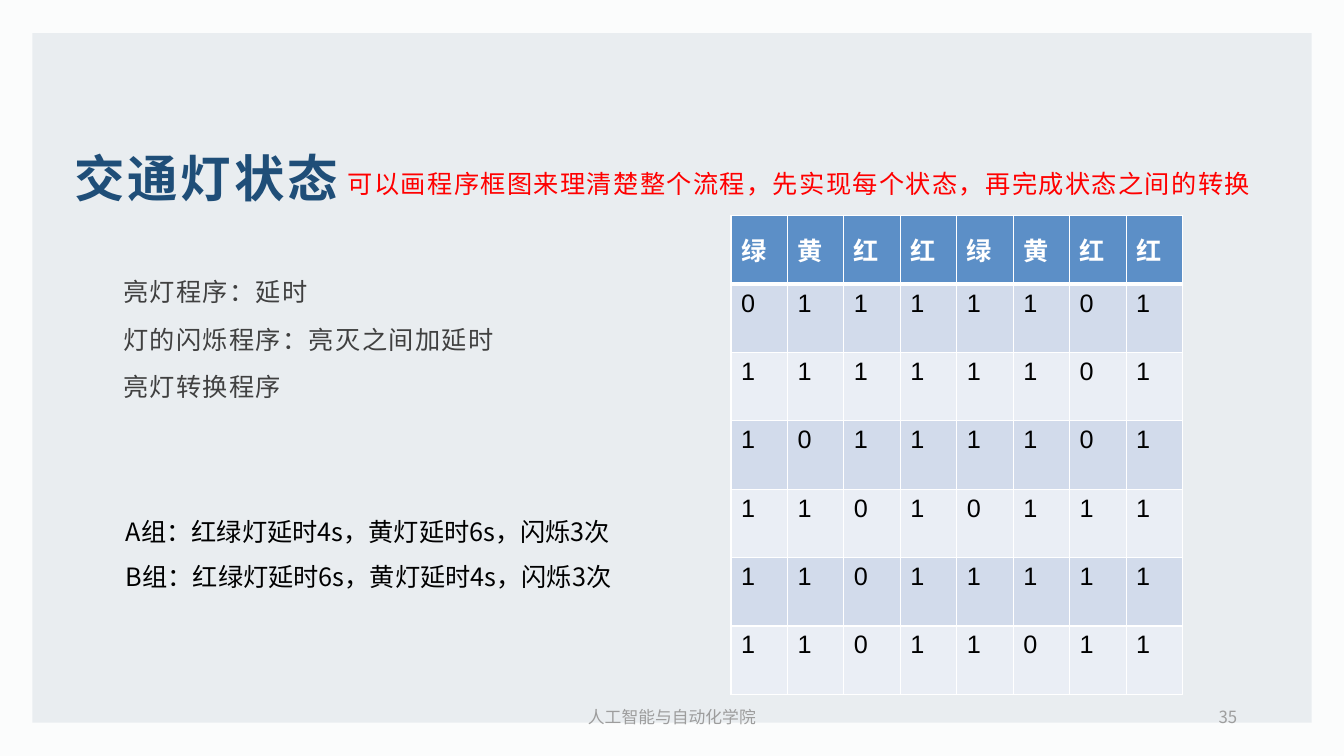
from dataclasses import dataclass, field

from lxml.etree import SubElement
from pptx import Presentation
from pptx.dml.color import RGBColor
from pptx.enum.shapes import MSO_SHAPE
from pptx.enum.text import MSO_ANCHOR as Anchor, MSO_AUTO_SIZE as AutoSize, PP_ALIGN as Align
from pptx.oxml.ns import qn
from pptx.util import Inches, Pt

COLORS = {
    "page": "FBFCFC", "panel": "E9EDF0", "title": "1F4E78", "hint": "FF0000",
    "body": "404040", "black": "000000", "footer": "9D9D9D", "white": "FFFFFF",
    "header": "5C8FC7", "odd_row": "D2DBEB", "even_row": "EAEEF5",
}
CJK_FONT = "Noto Sans CJK SC"
TIGHT = {"margin_left": Inches(0.07), "margin_right": Inches(0.07),
         "margin_top": Inches(0.03), "margin_bottom": Inches(0.03),
         "vertical_anchor": Anchor.MIDDLE}
MIDDLE = {"vertical_anchor": Anchor.MIDDLE}
SPACED = {"line_spacing": 1.2, "space_after": Pt(8)}

LIGHTS = "绿黄红红绿黄红红"
STATES = ["01111101", "11111101", "10111101", "11010111", "11011111", "11011011"]


@dataclass
class TextBlock:
    box: tuple[float, float, float, float]
    lines: list[str]
    color: str
    size: int = 18
    bold: bool = False
    tracking: int = 0
    frame_format: dict = field(default_factory=dict)
    paragraph_format: dict = field(default_factory=dict)


TITLE = TextBlock((0.67, 0.67, 12, 2.17), ["交通灯状态"], "title", 36, True, 2,
                  TIGHT, {"alignment": Align.LEFT})
BLOCKS = [
    TextBlock((3.38, 1.38, 9.28, 0.83),
              ["可以画程序框图来理清楚整个流程，先实现每个状态，再完成状态之间的转换"],
              "hint", tracking=1, frame_format=TIGHT, paragraph_format=SPACED),
    TextBlock((1.15, 2.33, 4.02, 2.01),
              ["亮灯程序：延时", "灯的闪烁程序：亮灭之间加延时", "亮灯转换程序"],
              "body", tracking=1, frame_format=TIGHT, paragraph_format=SPACED),
    TextBlock((1.15, 4.92, 6.45, 1),
              ["A组：红绿灯延时4s，黄灯延时6s，闪烁3次",
               "B组：红绿灯延时6s，黄灯延时4s，闪烁3次"],
              "black", paragraph_format={"line_spacing": 1.5, "alignment": Align.JUSTIFY}),
    TextBlock((4.5, 6.94, 4.33, 0.35), ["人工智能与自动化学院"], "footer", 12,
              frame_format=MIDDLE, paragraph_format={"alignment": Align.CENTER}),
    TextBlock((9.42, 6.94, 2.95, 0.35), ["35"], "footer", 12,
              frame_format=MIDDLE, paragraph_format={"alignment": Align.RIGHT}),
]


def rgb(name: str) -> RGBColor:
    return RGBColor.from_string(COLORS[name])


def apply_format(target, values: dict) -> None:
    for attribute, value in values.items():
        setattr(target, attribute, value)


def add_run(paragraph, text: str, color: str, size: int, bold: bool,
            latin: str = CJK_FONT, tracking: int = 0) -> None:
    run = paragraph.add_run()
    run.text = text
    apply_format(run.font, {"name": latin, "size": Pt(size), "bold": bold})
    run.font.color.rgb = rgb(color)
    properties = run.font._element if hasattr(run.font, "_element") else run._r.get_or_add_rPr()
    SubElement(properties, qn("a:ea"), typeface=CJK_FONT)
    if tracking:
        properties.set("spc", str(tracking * 100))


def write_block(shape, block: TextBlock) -> None:
    frame = shape.text_frame
    apply_format(frame, {"word_wrap": True, "auto_size": AutoSize.NONE, **block.frame_format})
    for index, line in enumerate(block.lines):
        paragraph = frame.add_paragraph() if index else frame.paragraphs[0]
        apply_format(paragraph, block.paragraph_format)
        add_run(paragraph, line, block.color, block.size, block.bold, tracking=block.tracking)


def add_borders(cell, row: int) -> None:
    """Draw thin white edges, with a thick one between header and body."""
    thick_edge = {0: "B", 1: "T"}.get(row)
    properties = cell._tc.get_or_add_tcPr()
    for edge in "LRTB":
        width = Pt(3 if edge == thick_edge else 1)
        line = SubElement(properties, qn(f"a:ln{edge}"), w=str(width))
        fill = SubElement(line, qn("a:solidFill"))
        SubElement(fill, qn("a:srgbClr"), val=COLORS["white"])


def add_state_table(slide) -> None:
    rows = [LIGHTS, *STATES]
    table = slide.shapes.add_table(len(rows), len(LIGHTS), Inches(7.25), Inches(2.14),
                                   Inches(4.48), Inches(4.75)).table
    for row, values in enumerate(rows):
        is_header = row == 0
        fill = "header" if is_header else "odd_row" if row % 2 else "even_row"
        for column, value in enumerate(values):
            cell = table.cell(row, column)
            add_borders(cell, row)
            cell.fill.solid()
            cell.fill.fore_color.rgb = rgb(fill)
            cell.vertical_anchor = Anchor.MIDDLE if is_header else Anchor.TOP
            add_run(cell.text_frame.paragraphs[0], value,
                    "white" if is_header else "black", 18, is_header, latin="Arial")


def main() -> None:
    deck = Presentation()
    apply_format(deck, {"slide_width": Inches(13.33), "slide_height": Inches(7.5)})
    slide = deck.slides.add_slide(deck.slide_layouts[5])
    slide.background.fill.solid()
    slide.background.fill.fore_color.rgb = rgb("page")

    panel = slide.shapes.add_shape(MSO_SHAPE.RECTANGLE, Inches(0.32), Inches(0.33),
                                   Inches(12.69), Inches(6.84))
    panel.shadow.inherit = False
    panel.fill.solid()
    panel.fill.fore_color.rgb = rgb("panel")
    panel.line.fill.background()

    title = slide.shapes.title
    title.element.addprevious(panel.element)
    apply_format(title, dict(zip(("left", "top", "width", "height"), map(Inches, TITLE.box))))
    write_block(title, TITLE)
    for block in BLOCKS:
        write_block(slide.shapes.add_textbox(*map(Inches, block.box)), block)
    add_state_table(slide)
    deck.save("out.pptx")


if __name__ == "__main__":
    main()
